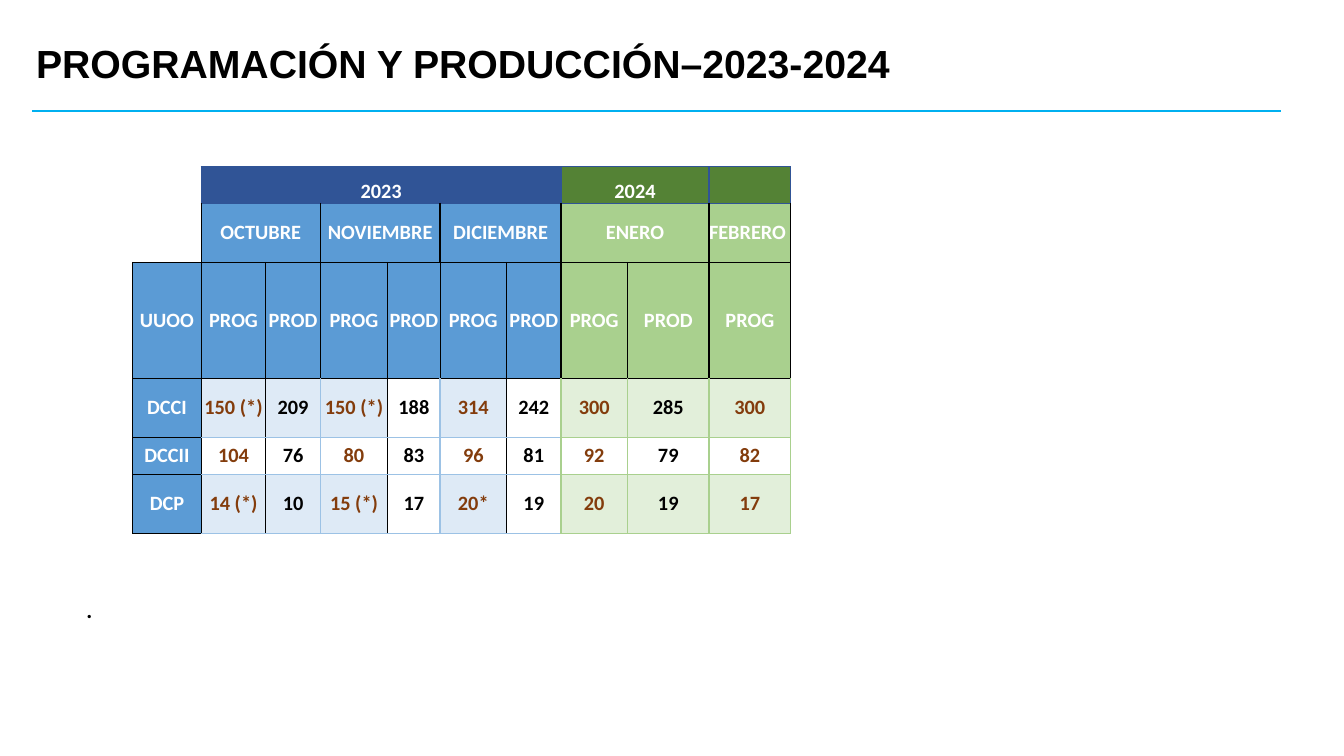
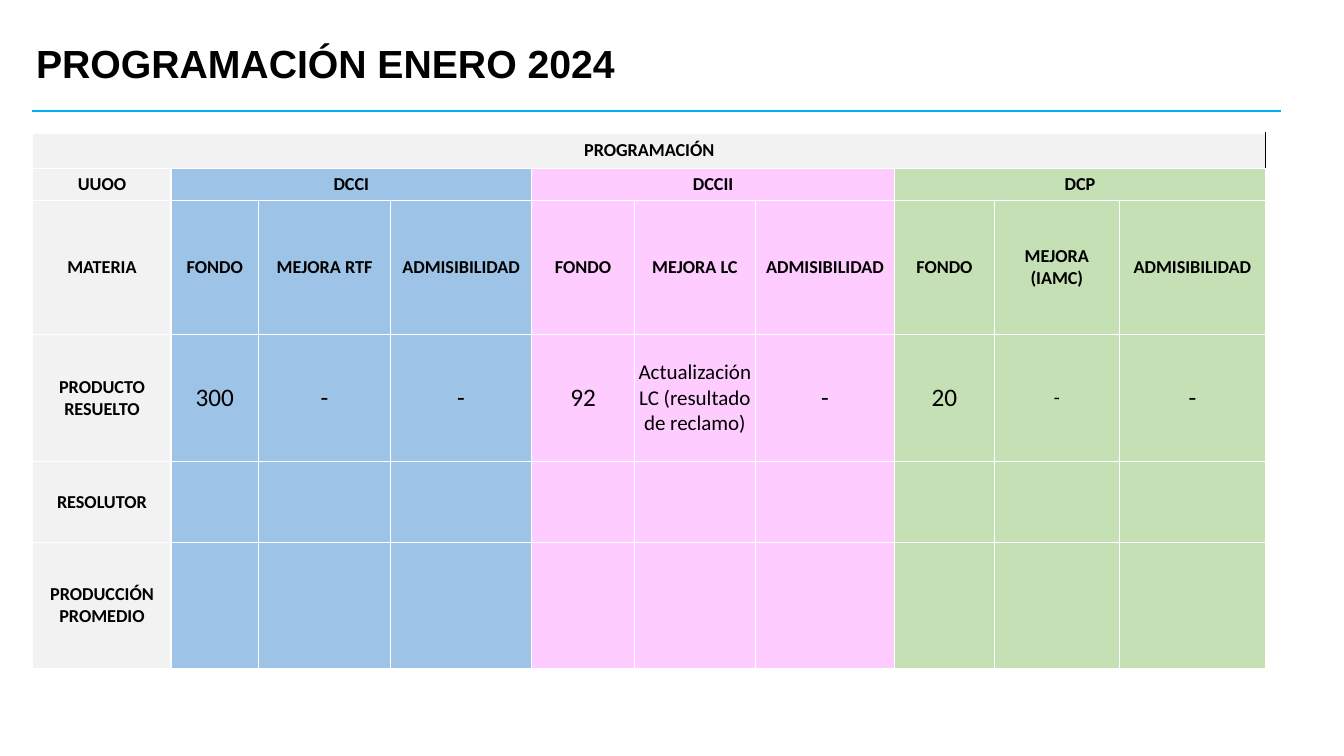
from pptx import Presentation
from pptx.dml.color import RGBColor
from pptx.enum.shapes import MSO_CONNECTOR as Connector
from pptx.enum.text import MSO_ANCHOR as Anchor, PP_ALIGN as Align
from pptx.oxml.ns import qn
from pptx.util import Pt
from lxml.etree import SubElement

BLACK, WHITE = "000000", "FFFFFF"
ACCENT = "00B0F0"
NAVY, BLUE, SKY, ICE = "305496", "5B9BD5", "9CC2E5", "DEEAF6"
FOREST, GREEN, MINT = "548235", "A9D08E", "E2EFDA"
BROWN, GRAY = "833C0C", "F2F2F2"
UNIT_FILLS = ["9DC3E6", "FFCCFF", "C5E0B4"]
PLAIN_TABLE = "{2D5ABB26-0587-4C30-8999-92F81FD0307C}"

HISTORY_COLUMNS = [49, 46.1, 38.9, 48.2, 37.4, 47.5, 38.9, 47.5, 58.3, 58.3]
HISTORY_ROWS = [26.3, 42.2, 82.9, 42.2, 26.3, 42.2]
HISTORY_SPANS = [(0, 0, 1, 0), (0, 1, 0, 6), (0, 7, 0, 8),
                 (1, 1, 1, 2), (1, 3, 1, 4), (1, 5, 1, 6), (1, 7, 1, 8)]
HISTORY = [
    ["", "2023", "", "", "", "", "", "2024", "", ""],
    ["", "OCTUBRE", "", "NOVIEMBRE", "", "DICIEMBRE", "", "ENERO", "", "FEBRERO"],
    ["UUOO"] + ["PROG", "PROD"] * 4 + ["PROG"],
    ["DCCI", "150 (*)", "209", "150 (*)", "188", "314", "242", "300", "285", "300"],
    ["DCCII", "104", "76", "80", "83", "96", "81", "92", "79", "82"],
    ["DCP", "14 (*)", "10", "15 (*)", "17", "20*", "19", "20", "19", "17"],
]

JANUARY_COLUMNS = [98.6, 62.6, 94.3, 100.8, 73.4, 86.4, 99.4, 71.3, 89.3, 104.4]
JANUARY_ROWS = [25.2, 23, 95.8, 90.7, 57.6, 90.7]
JANUARY_SPANS = [(0, 0, 0, 9), (1, 1, 1, 3), (1, 4, 1, 6), (1, 7, 1, 9)]
JANUARY = [
    ["PROGRAMACIÓN"] + [""] * 9,
    ["UUOO", "DCCI", "", "", "DCCII", "", "", "DCP", "", ""],
    ["MATERIA", "FONDO", "MEJORA RTF", "ADMISIBILIDAD",
     "FONDO", "MEJORA LC", "ADMISIBILIDAD",
     "FONDO", "MEJORA (IAMC)", "ADMISIBILIDAD"],
    ["PRODUCTO RESUELTO", "300", "-", "-",
     "92", "Actualización LC (resultado de reclamo)", "-", "20", "-", "-"],
    ["RESOLUTOR"] + [""] * 9,
    ["PRODUCCIÓN PROMEDIO"] + [""] * 9,
]


def rgb(code):
    return RGBColor.from_string(code)


def style_font(font, size, color=BLACK, bold=True, name="Calibri"):
    font.name, font.size, font.bold = name, Pt(size), bold
    font.color.rgb = rgb(color)


def add_text(slide, text, left, top, width, height, size, name):
    box = slide.shapes.add_textbox(Pt(left), Pt(top), Pt(width), Pt(height))
    frame = box.text_frame
    frame.word_wrap = True
    frame.vertical_anchor = Anchor.MIDDLE
    frame.text = text
    style_font(frame.paragraphs[0].runs[0].font, size, name=name)


def add_titled_slide(deck, title):
    slide = deck.slides.add_slide(deck.slide_layouts[6])
    rule = slide.shapes.add_connector(
        Connector.STRAIGHT, Pt(23), Pt(79.2), Pt(915), Pt(79.2))
    rule.line.color.rgb = rgb(ACCENT)
    rule.line.width = Pt(1.5)
    SubElement(rule._element.spPr, qn("a:effectLst"))
    add_text(slide, title, 18.7, 19.4, 828, 50.4, 28, "Arial")
    return slide


def add_table(slide, left, top, columns, rows, spans):
    frame = slide.shapes.add_table(
        len(rows), len(columns), Pt(left), Pt(top), Pt(sum(columns)), Pt(sum(rows)))
    table = frame.table
    table.first_row = table.horz_banding = False
    table._tbl.tblPr.find(qn("a:tableStyleId")).text = PLAIN_TABLE
    for column, width in zip(table.columns, columns):
        column.width = Pt(width)
    for row, height in zip(table.rows, rows):
        row.height = Pt(height)
    for first_row, first_column, last_row, last_column in spans:
        table.cell(first_row, first_column).merge(table.cell(last_row, last_column))
    return table


def fill_cell(cell, text, fill, size, color=BLACK, bold=True, side_margin=0,
              anchor=Anchor.MIDDLE, align=Align.CENTER):
    cell.margin_top = cell.margin_bottom = 0
    cell.margin_left = cell.margin_right = Pt(side_margin)
    cell.vertical_anchor = anchor
    cell.text_frame.text = text
    para = cell.text_frame.paragraphs[0]
    para.alignment = align
    style_font(para.font, size, color, bold)
    for span in para.runs:
        style_font(span.font, size, color, bold)
    if fill:
        cell.fill.solid()
        cell.fill.fore_color.rgb = rgb(fill)


def set_borders(cell, left, right, top, bottom):
    properties = cell._tc.get_or_add_tcPr()
    borders = zip(("lnL", "lnR", "lnT", "lnB"), (left, right, top, bottom))
    present = [(tag, border) for tag, border in borders if border]
    for place, (tag, (color, width)) in enumerate(present):
        line = SubElement(properties, qn(f"a:{tag}"), w=str(Pt(width)))
        solid = SubElement(line, qn("a:solidFill"))
        SubElement(solid, qn("a:srgbClr"), val=color)
        properties.insert(place, line)


def history_fill(row, column):
    recent = column >= 7
    if column == 0:
        return BLUE if row >= 2 else None
    if row == 0:
        return FOREST if recent else NAVY
    if row <= 2:
        return GREEN if recent else BLUE
    if row == 4 or column in (4, 6):
        return None
    return MINT if recent else ICE


def history_color(row, column):
    if row <= 2 or column == 0:
        return WHITE
    return BROWN if column % 2 else BLACK


def history_vertical(row, edge):
    if row == 0:
        return (NAVY, 1) if edge else None
    if row == 1:
        return (BLACK, 1) if edge else None
    if row == 2:
        return (BLACK, 0.5 if 2 <= edge <= 6 else 1)
    if edge <= 1:
        return (BLACK, 1)
    if edge >= 7:
        return (GREEN, 1)
    return (SKY, 1) if edge % 2 else (BLACK, 0.5)


def history_horizontal(edge, column):
    if column == 0:
        return (BLACK, 0.5 if edge in (4, 5) else 1) if edge else None
    if edge <= 1:
        return (NAVY, 1)
    if edge <= 3:
        return (BLACK, 1)
    return (GREEN, 1) if column >= 7 else (SKY, 1)


def add_history(slide):
    table = add_table(slide, 94.8, 119, HISTORY_COLUMNS, HISTORY_ROWS, HISTORY_SPANS)
    for row, texts in enumerate(HISTORY):
        for column, text in enumerate(texts):
            cell = table.cell(row, column)
            fill_cell(cell, text, history_fill(row, column), 14.5,
                      history_color(row, column),
                      anchor=Anchor.MIDDLE if row else Anchor.BOTTOM,
                      align=Align.LEFT if text == "FEBRERO" else Align.CENTER)
            if not cell.is_spanned:
                set_borders(cell, history_vertical(row, column),
                            history_vertical(row, column + cell.span_width),
                            history_horizontal(row, column),
                            history_horizontal(row + cell.span_height, column))


def january_size(row, column):
    if row != 3 or column == 0:
        return 13
    return {5: 15, 8: 14}.get(column, 18)


def add_january(slide):
    table = add_table(slide, 23.5, 95, JANUARY_COLUMNS, JANUARY_ROWS, JANUARY_SPANS)
    white = (WHITE, 1)
    for row, texts in enumerate(JANUARY):
        for column, text in enumerate(texts):
            cell = table.cell(row, column)
            heading = row != 3 or column == 0
            fill = UNIT_FILLS[(column - 1) // 3] if row and column else GRAY
            fill_cell(cell, text, fill, january_size(row, column), bold=heading,
                      side_margin=5 if heading else 0)
            if not cell.is_spanned:
                set_borders(cell, white, white if row else (BLACK, 1), white, white)


def main():
    deck = Presentation()
    deck.slide_width, deck.slide_height = Pt(960), Pt(540)
    history = add_titled_slide(deck, "PROGRAMACIÓN Y PRODUCCIÓN–2023-2024")
    add_text(history, ".", 54.7, 422, 828, 26.6, 16, "Calibri")
    add_history(history)
    january = add_titled_slide(deck, "PROGRAMACIÓN ENERO 2024")
    add_january(january)
    deck.save("out.pptx")


if __name__ == "__main__":
    main()
